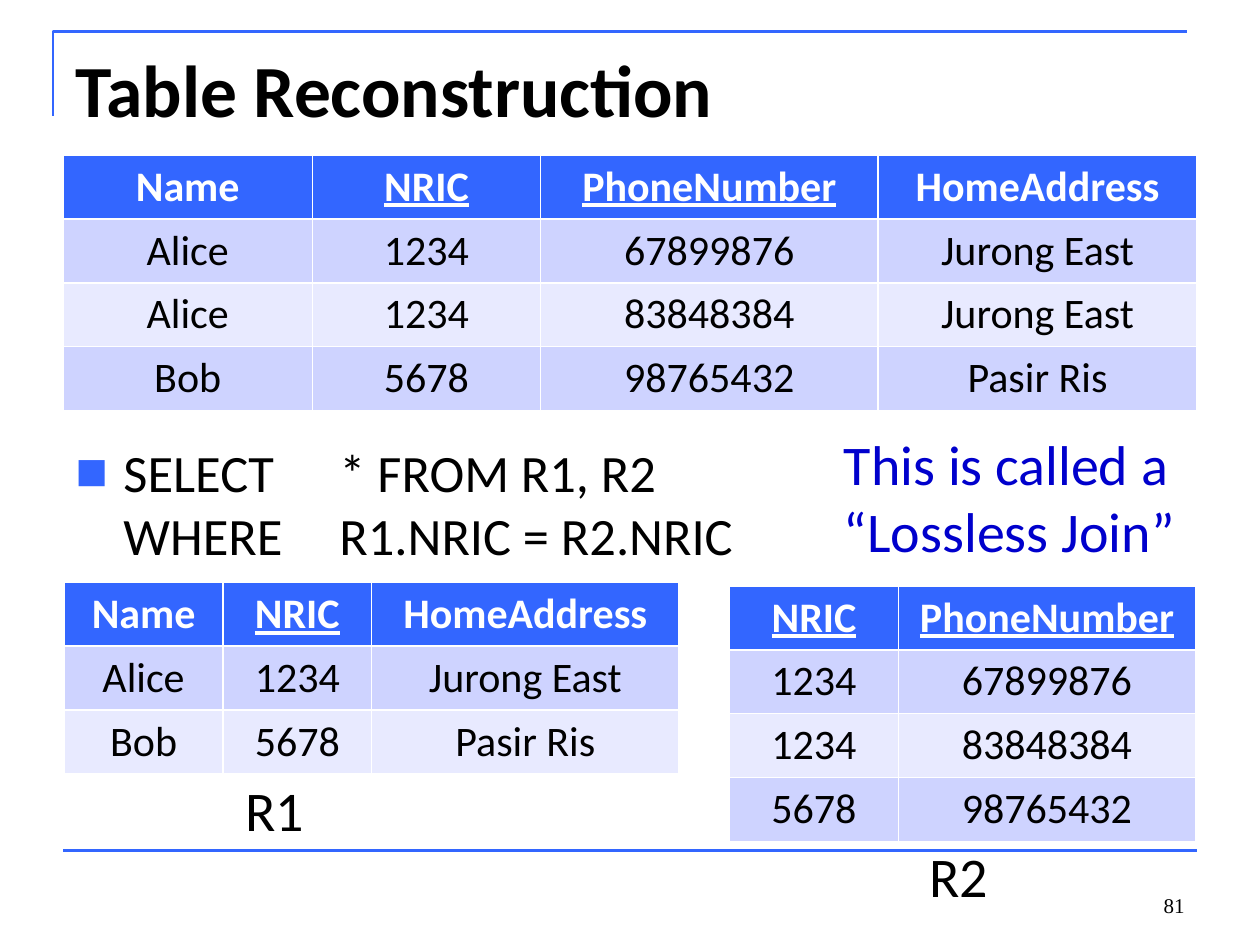
from dataclasses import dataclass

from lxml import etree
from pptx import Presentation
from pptx.dml.color import RGBColor
from pptx.enum.shapes import MSO_CONNECTOR
from pptx.enum.text import MSO_ANCHOR, MSO_AUTO_SIZE, PP_ALIGN
from pptx.oxml.ns import qn
from pptx.util import Inches, Pt

LINE = MSO_CONNECTOR.STRAIGHT
TOP, MIDDLE, BOTTOM = MSO_ANCHOR.TOP, MSO_ANCHOR.MIDDLE, MSO_ANCHOR.BOTTOM
LEFT, CENTER, RIGHT = PP_ALIGN.LEFT, PP_ALIGN.CENTER, PP_ALIGN.RIGHT
FIXED, GROW = MSO_AUTO_SIZE.NONE, MSO_AUTO_SIZE.SHAPE_TO_FIT_TEXT
COLS, ROWS = 20, 15
UNIT = Inches(0.5)


@dataclass(frozen=True)
class Theme:
    """Colours, fonts and type sizes of the slide."""
    blue: str = "3366FF"
    navy: str = "0000CC"
    black: str = "000000"
    white: str = "FFFFFF"
    bands: tuple = ("CED3FF", "E8EAFF")
    sans: str = "Calibri"
    serif: str = "Times New Roman"
    title: int = 42
    label: int = 32
    body: int = 30
    cell: int = 24
    page: int = 12


LOOK = Theme()
KEYS = ("NRIC", "PhoneNumber")
FULL = [
    ("Name", "NRIC", "PhoneNumber", "HomeAddress"),
    ("Alice", "1234", "67899876", "Jurong East"),
    ("Alice", "1234", "83848384", "Jurong East"),
    ("Bob", "5678", "98765432", "Pasir Ris"),
]
HOMES = [
    ("Name", "NRIC", "HomeAddress"),
    ("Alice", "1234", "Jurong East"),
    ("Bob", "5678", "Pasir Ris"),
]
PHONES = [row[1:3] for row in FULL]


def grid(*spans):
    """Turn grid steps into lengths."""
    return [round(span * UNIT) for span in spans]


def style(para, size, color=LOOK.black, face=LOOK.sans, bold=False, align=LEFT):
    """Set the font and alignment of a paragraph."""
    para.alignment = align
    font = para.font
    font.size, font.name, font.bold = Pt(size), face, bold
    font.color.rgb = RGBColor.from_string(color)


def stroke(line):
    """Draw a line in the frame's colour and weight."""
    line.color.rgb = RGBColor.from_string(LOOK.blue)
    line.width = Pt(1.5)


def add_frame(slide, box):
    """Draw the corner above the title and the rule near the foot."""
    x, y, w, h = box
    start, *rest = [grid(*point) for point in
                    ((x, y + 1.34), (x, y), (x + w, y))]
    pen = slide.shapes.build_freeform(*start)
    pen.add_line_segments(rest, close=False)
    edge = pen.convert_to_shape()
    edge.fill.background()
    edge.shadow.inherit = False
    stroke(edge.line)
    foot = y + h
    rule = slide.shapes.add_connector(
        LINE, *grid(x + 0.16, foot, x + w + 0.16, foot))
    stroke(rule.line)
    etree.SubElement(rule._element.spPr, qn("a:effectLst"))


def fill_holder(shape, box, text, size, bold=False):
    """Place a placeholder and set its text."""
    shape.left, shape.top, shape.width, shape.height = grid(*box)
    frame = shape.text_frame
    frame.text = text
    frame.auto_size, frame.vertical_anchor = FIXED, TOP
    para = frame.paragraphs[0]
    para.space_before = Pt(0)
    return para, size, bold


def add_title(slide, box, text):
    """Fill the title placeholder."""
    para, size, bold = fill_holder(slide.shapes.title, box, text, LOOK.title, True)
    style(para, size, bold=bold)


def add_query(slide, box, text):
    """Fill the body placeholder with a bulleted, tabbed query."""
    para, size, bold = fill_holder(slide.placeholders[1], box, text, LOOK.body)
    props = para._p.get_or_add_pPr()
    props.set("marL", str(Inches(0.38)))
    props.set("indent", str(-Inches(0.38)))
    color = etree.SubElement(props, qn("a:buClr"))
    etree.SubElement(color, qn("a:srgbClr"), val=LOOK.blue)
    etree.SubElement(props, qn("a:buSzPct"), val="65000")
    etree.SubElement(props, qn("a:buFont"), typeface=LOOK.sans)
    etree.SubElement(props, qn("a:buChar"), char="■")
    tabs = etree.SubElement(props, qn("a:tabLst"))
    etree.SubElement(tabs, qn("a:tab"), pos=str(Inches(2)), algn="l")
    style(para, size, bold=bold)


def add_grid(slide, box, data, shares):
    """Add a banded table whose columns take shares of the box."""
    table = slide.shapes.add_table(len(data), len(data[0]), *grid(*box)).table
    for col, share in zip(table.columns, shares):
        col.width = grid(box[2] * share / sum(shares))[0]
    for r, row in enumerate(data):
        head = r == 0
        for c, text in enumerate(row):
            cell = table.cell(r, c)
            cell.text = text
            cell.fill.solid()
            cell.fill.fore_color.rgb = RGBColor.from_string(
                LOOK.blue if head else LOOK.bands[(r - 1) % 2])
            para = cell.text_frame.paragraphs[0]
            style(para, LOOK.cell, LOOK.white if head else LOOK.black,
                  bold=head, align=CENTER)
            if head and text in KEYS:
                para.font.underline = True


def add_label(slide, box, text, color=LOOK.black):
    """Add a large label that does not wrap."""
    frame = slide.shapes.add_textbox(*grid(*box)).text_frame
    frame.text = text
    frame.word_wrap, frame.auto_size = False, GROW
    style(frame.paragraphs[0], LOOK.label, color)


def add_page(slide, box, text):
    """Add the page number at the foot."""
    frame = slide.shapes.add_textbox(*grid(*box)).text_frame
    frame.text = text
    frame.word_wrap, frame.vertical_anchor = True, BOTTOM
    style(frame.paragraphs[0], LOOK.page, face=LOOK.serif, align=RIGHT)


def main():
    """Build and save the slide."""
    deck = Presentation()
    deck.slide_width, deck.slide_height = grid(COLS, ROWS)
    slide = deck.slides.add_slide(deck.slide_layouts[1])
    add_frame(slide, (0.84, 0.5, 18, 13))
    add_title(slide, (1, 0.6, 18, 2.5), "Table Reconstruction")
    add_query(slide, (1, 6.88, 18.44, 2.36),
              "SELECT\t * FROM R1, R2\vWHERE\t R1.NRIC = R2.NRIC")
    add_grid(slide, (1, 2.46, 18, 4), FULL, (1.98, 1.81, 2.68, 2.53))
    add_grid(slide, (1.02, 9.24, 9.76, 3), HOMES, (1.26, 1.18, 2.44))
    add_grid(slide, (11.58, 9.3, 7.4, 4), PHONES, (1.34, 2.36))
    add_label(slide, (3.7, 12.22, 1.38, 1.28), "R1")
    add_label(slide, (14.56, 13.26, 1.34, 1.28), "R2")
    add_label(slide, (13.2, 6.72, 5.8, 2.36),
              "This is called a \v“Lossless Join”", LOOK.navy)
    add_page(slide, (14.34, 13.66, 4.66, 1), "81")
    deck.save("out.pptx")


if __name__ == "__main__":
    main()
